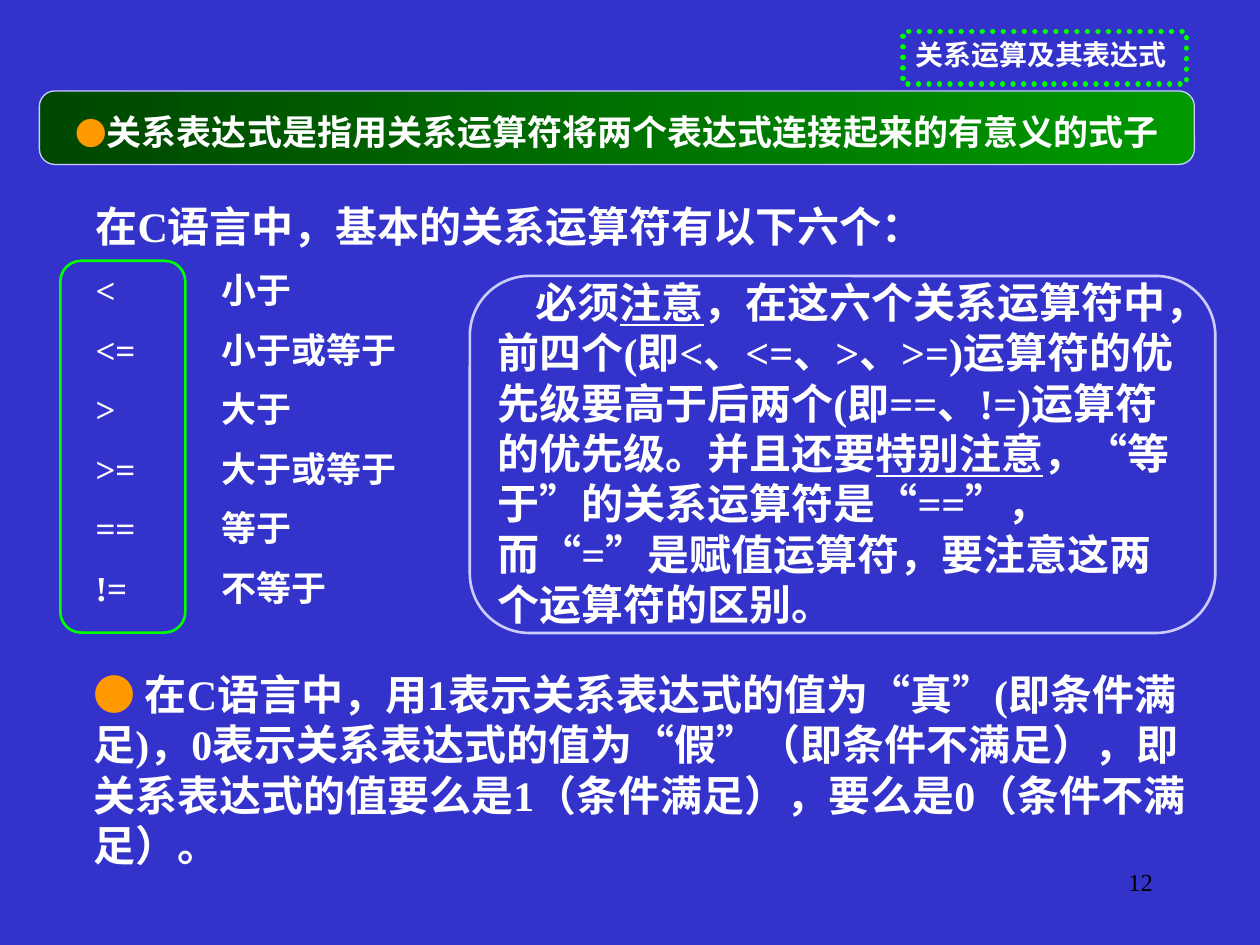
from lxml.etree import SubElement
from pptx import Presentation
from pptx.dml.color import RGBColor
from pptx.enum.dml import MSO_LINE_DASH_STYLE as Dash
from pptx.enum.lang import MSO_LANGUAGE_ID as Lang
from pptx.enum.shapes import MSO_SHAPE as Shape
from pptx.enum.text import MSO_ANCHOR as Anchor, MSO_AUTO_SIZE as Fit, PP_ALIGN as Align
from pptx.oxml.ns import qn
from pptx.util import Pt

WHITE, ORANGE, GREEN, LILAC = "FFFFFF", "FF9900", "00FF00", "CCCCFF"
SERIF = "Times New Roman"
SIGNS = [("<", "小于"), ("<=", "小于或等于"), (">", "大于"),
         (">=", "大于或等于"), ("==", "等于"), ("!=", "不等于")]


def tint(code):
    """Turn a hex string into a colour."""
    return RGBColor.from_string(code)


def add_run(para, text, size, color=WHITE, bold=True, under=False, face=SERIF):
    """Add one formatted run to a paragraph."""
    run = para.add_run()
    run.text = text
    font = run.font
    font.name, font.size, font.bold = face, Pt(size), bold
    font.underline = under
    font.color.rgb = tint(color)
    font.language_id = Lang.SIMPLIFIED_CHINESE


def add_tab(para, pos):
    """Add a left tab stop to a paragraph."""
    tabs = SubElement(para._p.get_or_add_pPr(), qn("a:tabLst"))
    SubElement(tabs, qn("a:tab"), pos=str(Pt(pos)), algn="l")


def set_frame(shape):
    """Give a text shape its wrap and anchor, and return its first paragraph."""
    frame = shape.text_frame
    frame.word_wrap, frame.auto_size = True, Fit.NONE
    frame.vertical_anchor = Anchor.TOP
    return frame.paragraphs[0]


def add_text(slide, x, y, w, h):
    """Add a text box and return its first paragraph."""
    return set_frame(slide.shapes.add_textbox(Pt(x), Pt(y), Pt(w), Pt(h)))


def add_frame(slide, box, kind, color, width, round_by=None):
    """Add an outlined shape without fill."""
    shape = slide.shapes.add_shape(kind, *map(Pt, box))
    shape.shadow.inherit = False
    shape.fill.background()
    shape.line.color.rgb = tint(color)
    shape.line.width = Pt(width)
    if round_by:
        shape.adjustments[0] = round_by
    return shape


def add_title(slide, x, y, w, h):
    """Place the title and its dotted frame."""
    title = slide.shapes.title
    title.left, title.top, title.width, title.height = map(Pt, (x, y, w, h))
    para = set_frame(title)
    para.alignment = Align.LEFT
    add_run(para, "关系运算及其表达式", 16, face="Arial")
    frame = add_frame(slide, (x, y, w, h), Shape.RECTANGLE, GREEN, 3)
    frame.line.dash_style = Dash.ROUND_DOT
    frame.line._get_or_add_ln().set("cap", "rnd")


def add_banner(slide, x, y, w, h):
    """Place the green banner with the definition."""
    bar = add_frame(slide, (x, y, w, h), Shape.ROUNDED_RECTANGLE, LILAC, 0.75, 0.21)
    bar.fill.gradient()
    bar.fill.gradient_angle = 0
    for stop, code in zip(bar.fill.gradient_stops, ("004700", "009900")):
        stop.color.rgb = tint(code)
    para = add_text(slide, x + 13.5, y + 7.5, w + 29.5, 31)
    add_run(para, "●", 18, ORANGE, bold=False)
    add_run(para, "关系表达式是指用关系运算符将两个表达式连接起来的有意义的式子", 20)


def add_signs(slide, x, y, w, h):
    """Place the list of operators and the frame around the signs."""
    para = add_text(slide, x, y, w, h)
    add_run(para, "在C语言中，基本的关系运算符有以下六个：", 24)
    for sign, name in SIGNS:
        para = slide.shapes[-1].text_frame.add_paragraph()
        para.space_before = Pt(10)
        add_tab(para, 72)
        add_run(para, f"{sign}\t{name}", 20)
    add_frame(slide, (x - 13, y + 37.7, 71.5, 212.5), Shape.ROUNDED_RECTANGLE, GREEN, 1.5, 0.167)


def add_note(slide, x, y, w, h):
    """Place the framed note on precedence."""
    para = add_text(slide, x + 8.7, y - 3.3, w - 18, h + 7)
    para._p.get_or_add_pPr().set("indent", str(Pt(22)))
    parts = ["必须", "注意",
             "，在这六个关系运算符中，前四个(即<、<=、>、>=)运算符的优先级要高于后两个(即==、!=)运算符的优先级。并且还要",
             "特别注意",
             "，“等于”的关系运算符是“==”，而“=”是赋值运算符，要注意这两个运算符的区别。"]
    for i, part in enumerate(parts):
        add_run(para, part, 24, under=i % 2 == 1)
    add_frame(slide, (x, y, w, h), Shape.ROUNDED_RECTANGLE, LILAC, 1.5, 0.167)


def add_values(slide, x, y, w, h):
    """Place the paragraph on true and false values."""
    para = add_text(slide, x, y, w, h)
    add_run(para, "● ", 24, ORANGE, bold=False)
    add_run(para, "在C语言中，用1表示关系表达式的值为“真”(即条件满足)，0表示关系表达式的值为“假”"
            "（即条件不满足），即关系表达式的值要么是1（条件满足），要么是0（条件不满足）。", 24)


def add_number(slide, x, y, w, h):
    """Place the slide number."""
    para = add_text(slide, x, y, w, h)
    para.alignment = Align.RIGHT
    add_run(para, "12", 14, "000000", bold=False)


def main():
    """Build and save the slide."""
    deck = Presentation()
    deck.slide_width, deck.slide_height = Pt(720), Pt(540)
    slide = deck.slides.add_slide(deck.slide_layouts[5])
    slide.background.fill.solid()
    slide.background.fill.fore_color.rgb = tint("3333CC")
    add_title(slide, 516, 18, 162, 30)
    add_banner(slide, 22.5, 52, 660, 42)
    add_signs(slide, 47.5, 111.3, 475, 286.5)
    add_values(slide, 46.3, 378.5, 639.5, 124)
    add_note(slide, 268.5, 157.7, 426, 204)
    add_number(slide, 516, 492, 150, 36)
    deck.save("out.pptx")


if __name__ == "__main__":
    main()
